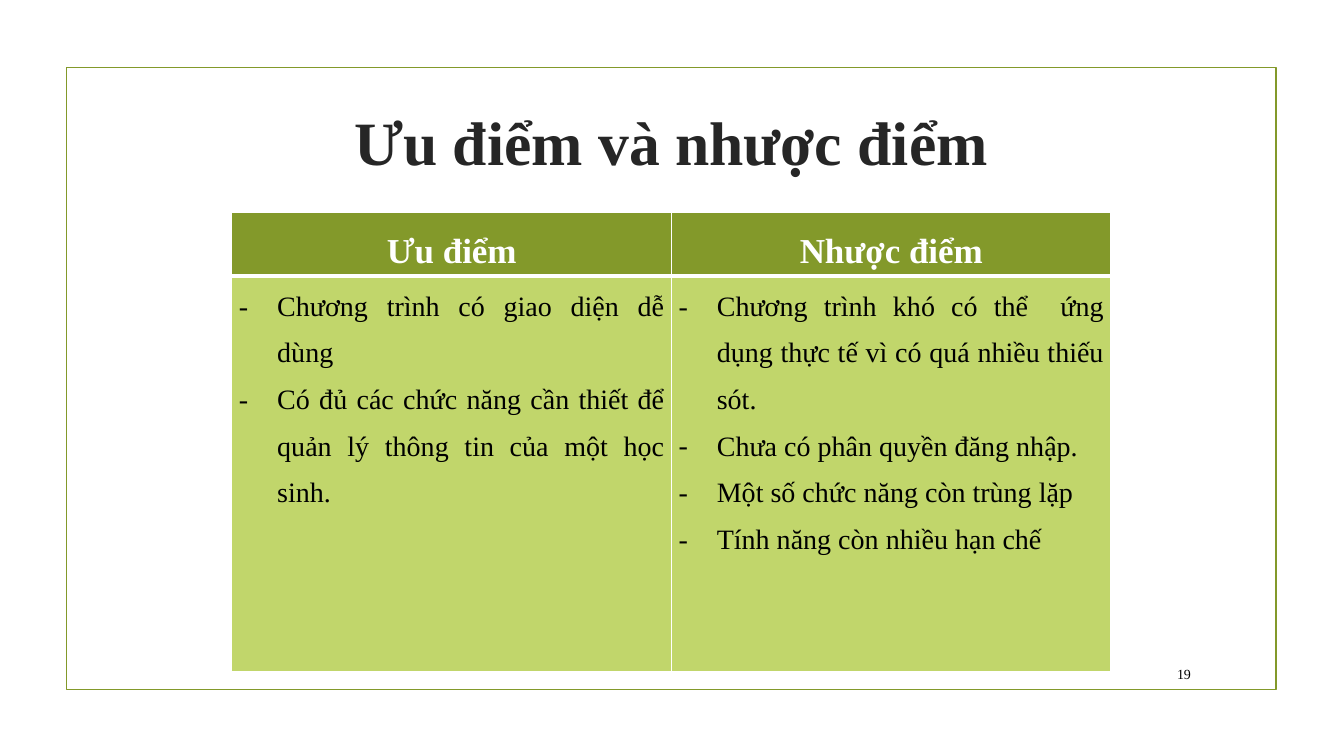
from lxml import etree
from pptx import Presentation
from pptx.dml.color import RGBColor
from pptx.enum.shapes import MSO_SHAPE
from pptx.enum.text import MSO_ANCHOR, PP_ALIGN
from pptx.oxml.ns import qn
from pptx.util import Pt

PX = 9144
FONT = "Times New Roman"
RECTANGLE = MSO_SHAPE.RECTANGLE
MIDDLE, TOP = MSO_ANCHOR.MIDDLE, MSO_ANCHOR.TOP
CENTER, RIGHT, JUSTIFY = PP_ALIGN.CENTER, PP_ALIGN.RIGHT, PP_ALIGN.JUSTIFY
OLIVE, LIME, WHITE, BLACK, CHARCOAL = "83992A", "C1D66B", "FFFFFF", "000000", "262626"

COLUMNS = {
    "Ưu điểm": [
        "Chương trình có giao diện dễ dùng",
        "Có đủ các chức năng cần thiết để quản lý thông tin của một học sinh.",
    ],
    "Nhược điểm": [
        "Chương trình khó có thể  ứng dụng thực tế vì có quá nhiều thiếu sót.",
        "Chưa có phân quyền đăng nhập.",
        "Một số chức năng còn trùng lặp",
        "Tính năng còn nhiều hạn chế",
    ],
}


def color(value):
    return RGBColor.from_string(value)


def px(*lengths):
    return [length * PX for length in lengths]


def format_para(para, size, ink, align, bold=False):
    para.alignment = align
    for span in para.runs:
        span.font.name = FONT
        span.font.size = Pt(size)
        span.font.bold = bold
        span.font.color.rgb = color(ink)


def add_frame(page, bounds):
    frame = page.shapes.add_shape(RECTANGLE, *px(*bounds))
    frame.shadow.inherit = False
    frame.fill.background()
    frame.line.color.rgb = color(OLIVE)
    frame.line.width = Pt(1.25)


def add_text(page, bounds, text, size, ink, align, bold=False):
    box = page.shapes.add_textbox(*px(*bounds))
    frame = box.text_frame
    frame.word_wrap = True
    frame.vertical_anchor = MIDDLE
    frame.text = text
    format_para(frame.paragraphs[0], size, ink, align, bold)


def add_dash(para, indent):
    properties = para._p.get_or_add_pPr()
    properties.set("marL", str(indent * PX))
    properties.set("indent", str(-indent * PX))
    etree.SubElement(properties, qn("a:buFont"), typeface=FONT)
    etree.SubElement(properties, qn("a:buChar"), char="-")


def set_borders(cell, widths):
    properties = cell._tc.get_or_add_tcPr()
    for position, (side, width) in enumerate(zip("LRTB", widths)):
        line = etree.Element(qn(f"a:ln{side}"), w=str(Pt(width)))
        fill = etree.SubElement(line, qn("a:solidFill"))
        etree.SubElement(fill, qn("a:srgbClr"), val=WHITE)
        properties.insert(position, line)


def fill_cell(cell, lines, size, ink, fill, borders, align, bold=False, indent=0):
    cell.margin_left = cell.margin_right = 7 * PX
    cell.margin_top = cell.margin_bottom = 0
    cell.vertical_anchor = TOP
    cell.fill.solid()
    cell.fill.fore_color.rgb = color(fill)
    set_borders(cell, borders)
    cell.text_frame.text = "\n".join(lines)
    for para in cell.text_frame.paragraphs:
        para.line_spacing = 1.5
        format_para(para, size, ink, align, bold)
        if indent:
            add_dash(para, indent)


def add_comparison(page, bounds, row_heights):
    table = page.shapes.add_table(2, len(COLUMNS), *px(*bounds)).table
    for row, height in zip(table.rows, row_heights):
        row.height = height * PX
    for column, (heading, points) in enumerate(COLUMNS.items()):
        fill_cell(table.cell(0, column), [heading], 25, WHITE, OLIVE,
                  (1, 1, 1, 3), CENTER, bold=True)
        fill_cell(table.cell(1, column), points, 20, BLACK, LIME,
                  (1, 1, 3, 1), JUSTIFY, indent=38)


def main():
    deck = Presentation()
    deck.slide_width, deck.slide_height = px(1333, 750)
    page = deck.slides.add_slide(deck.slide_layouts[6])
    add_frame(page, (66, 67, 1200, 617))
    add_text(page, (141, 68, 1050, 143), "Ưu điểm và nhược điểm", 44, CHARCOAL, CENTER, bold=True)
    add_comparison(page, (230, 211, 872, 454), (61, 393))
    add_text(page, (1132, 653, 59, 31), "19", 10, BLACK, RIGHT)
    deck.save("out.pptx")


if __name__ == "__main__":
    main()
